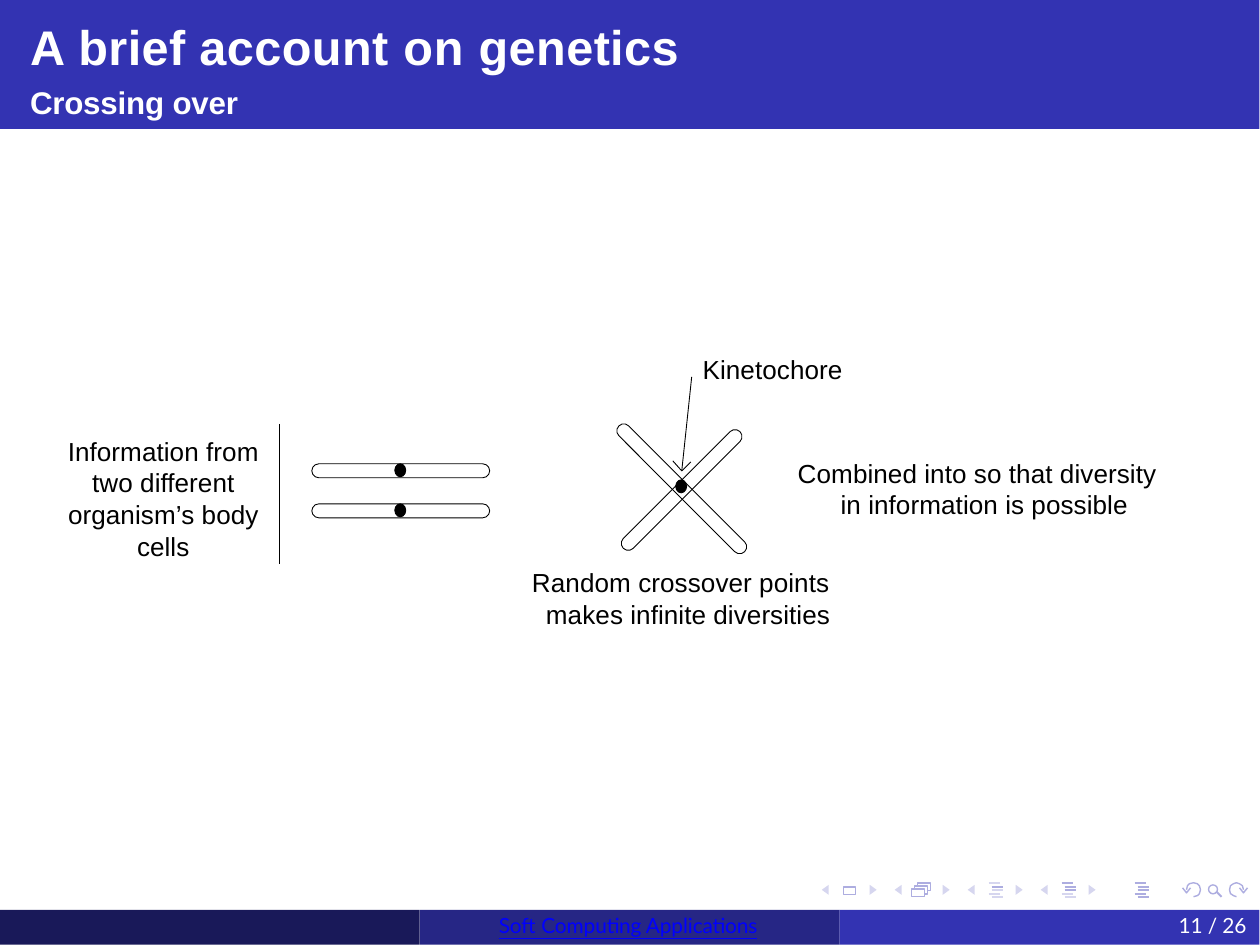
from math import cos, radians, sin

from lxml.etree import SubElement
from pptx import Presentation
from pptx.dml.color import RGBColor
from pptx.enum.shapes import MSO_CONNECTOR as CONN, MSO_SHAPE as SHAPE
from pptx.enum.text import MSO_ANCHOR as ANCHOR, MSO_AUTO_SIZE as AUTO, PP_ALIGN as ALIGN
from pptx.oxml.ns import qn
from pptx.util import Pt

PX = 914400 / 250
COLORS = {
    "bar": "3333B2", "middle": "262685", "dark": "191959",
    "icon": "ADADE0", "pale": "D6D6EF",
    "ink": "000000", "white": "FFFFFF", "link": "0000FF",
}
HAIR = 0.25


def px(*values):
    return [round(v * PX) for v in values]


def rgb(name):
    return RGBColor.from_string(COLORS[name])


def paint(sp, fill=None, line=None, width=HAIR):
    sp.shadow.inherit = False
    if fill:
        sp.fill.solid()
        sp.fill.fore_color.rgb = rgb(fill)
    else:
        sp.fill.background()
    if line:
        sp.line.color.rgb = rgb(line)
        sp.line.width = Pt(width)
    else:
        sp.line.fill.background()
    return sp


def add_preset(s, kind, box, fill=None, line=None, width=HAIR):
    return paint(s.shapes.add_shape(kind, *px(*box)), fill, line, width)


def add_path(s, points, close=False, fill=None, line=None, width=HAIR):
    builder = s.shapes.build_freeform(*points[0], scale=PX)
    builder.add_line_segments(points[1:], close=close)
    return paint(builder.convert_to_shape(), fill, line, width)


def add_line(s, ends, color, width=HAIR):
    cxn = s.shapes.add_connector(CONN.STRAIGHT, *px(*ends))
    cxn.line.color.rgb = rgb(color)
    cxn.line.width = Pt(width)
    SubElement(cxn.element.spPr, qn("a:effectLst"))


def setup_frame(tf, top):
    tf.word_wrap = True
    tf.auto_size = AUTO.NONE
    tf.vertical_anchor = ANCHOR.TOP
    tf.margin_left = tf.margin_right = tf.margin_bottom = 0
    tf.margin_top = px(top)[0]


def set_indent(p, left, first=0):
    pPr = p._p.get_or_add_pPr()
    pPr.set("marL", str(px(left)[0]))
    pPr.set("indent", str(px(first)[0]))


def add_run(p, text, size, font="Arial", color="ink", spc=0, bold=False, underline=False):
    r = p.add_run()
    r.text = text
    r.font.size, r.font.name = Pt(size), font
    r.font.bold, r.font.underline = bold, underline
    r.font.color.rgb = rgb(color)
    r._r.get_or_add_rPr().set("spc", str(spc))


def add_text(s, box, lines, top, indent=(2, 0), align=ALIGN.LEFT, spacing=None, size=7.5, **style):
    """Each line is a list of (text, letter spacing) runs."""
    tf = s.shapes.add_textbox(*px(*box)).text_frame
    setup_frame(tf, top)
    p = tf.paragraphs[0]
    p.alignment = align
    set_indent(p, *indent)
    if spacing:
        p.line_spacing = spacing
    for i, line in enumerate(lines):
        if i:
            p.add_line_break()
        for text, spc in line:
            add_run(p, text, size, spc=spc, **style)


def add_header(s):
    bar = add_preset(s, SHAPE.RECTANGLE, (0, 0, 1260, 129), "bar")
    title = s.shapes.title
    title.element.addprevious(bar.element)
    title.left, title.top, title.width, title.height = px(26, 0, 660, 125)
    tf = title.text_frame
    setup_frame(tf, 17)
    heading, subheading = tf.paragraphs[0], tf.add_paragraph()
    for p in (heading, subheading):
        p.alignment = ALIGN.LEFT
        set_indent(p, 4)
    for text, spc in (("A ", 20), ("brief account ", 10), ("on ", 20), ("genetics", 10)):
        add_run(heading, text, 14, color="white", spc=spc, bold=True)
    subheading.space_before = Pt(2.2)
    add_run(subheading, "Crossing over", 9, color="white", spc=-5, bold=True)


def add_navigation(s):
    # Previous and next arrows
    for i in range(4):
        x = 822 + 73 * i
        for base, tip in ((x + 7, x), (x + 48, x + 55)):
            add_path(s, [(base, 885), (tip, 890), (base, 895)], True, "pale")
    # Slide, frames
    add_preset(s, SHAPE.RECTANGLE, (844, 887, 12, 8), None, "icon", 0.4)
    add_preset(s, SHAPE.RECTANGLE, (912, 889, 13, 8), None, "icon", 0.4)
    for x, y in ((915, 889), (918, 886)):
        corners = [(x, y), (x, y - 3), (x + 13, y - 3), (x + 13, y + 5), (x + 10, y + 5)]
        add_path(s, corners, line="icon", width=0.4)
    # Subsection, section, document
    for x, strong in ((989, {1}), (1062, {0, 1, 2}), (1135, {0, 1, 2, 3, 4})):
        for row, y in enumerate((883, 887, 890, 894, 897)):
            left = x if row in (0, 3) else x + 3
            add_line(s, (left, y, left + 11, y), "icon" if row in strong else "pale", 0.6)
    # Back, search, forward
    add_preset(s, SHAPE.OVAL, (1209, 885, 9, 9), None, "icon", 0.4)
    add_line(s, (1217, 892, 1222, 897), "icon", 0.6)
    for cx, side in ((1194, 1), (1237, -1)):
        arc = [(cx + side * 7 * sin(radians(a)), 890 + 7 * cos(radians(a)))
               for a in range(0, 271, 30)]
        tip = cx - side * 7
        add_path(s, arc, line="icon", width=0.4)
        add_path(s, [(tip - 4, 888), (tip, 893), (tip + 4, 888)], line="icon", width=0.4)


def add_chromatid(s, cx, cy, length, angle=0):
    sp = add_preset(s, SHAPE.ROUNDED_RECTANGLE, (cx - length / 2, cy - 7, length, 14), None, "ink")
    sp.adjustments[0] = 0.5
    sp.rotation = angle


def add_kinetochore(s, cx, cy):
    add_preset(s, SHAPE.OVAL, (cx - 6, cy - 7, 11, 13), "ink", "ink")


def add_diagram(s):
    # Separate chromosomes
    add_text(s, (62, 433, 201, 133),
             [[("Information from", 0)], [("two different", 0)],
              [("organism’s body", 0)], [("cells", 0)]],
             2, align=ALIGN.CENTER, spacing=1.01)
    add_line(s, (280, 424, 280, 564), "ink")
    for cy in (471, 511):
        add_chromatid(s, 401, cy, 178)
        add_kinetochore(s, 401, cy)
    # Crossed chromosomes
    add_chromatid(s, 682, 489, 178, 45)
    add_chromatid(s, 682, 490, 165, -45)
    add_kinetochore(s, 682, 487)
    add_text(s, (530, 565, 308, 70),
             [[("Random crossover points", 0)], [("makes infinite diversities", 0)]],
             2, indent=(16, -14))
    # Pointer and outcome
    add_text(s, (701, 350, 148, 38), [[("Kinetochore", 0)]], 4)
    add_line(s, (692, 377, 682, 471), "ink")
    add_path(s, [(673, 461), (682, 471), (691, 462)], line="ink")
    add_text(s, (795, 455, 368, 70),
             [[("Combined into so that diversity", 0)], [("in information is possible", 0)]],
             2, indent=(46, -43), spacing=1.01)


def add_footer(s):
    for i, color in enumerate(("dark", "middle", "bar")):
        add_preset(s, SHAPE.RECTANGLE, (420 * i, 910, 420, 35), color)
    add_text(s, (497, 910, 268, 33), [[("Soft Computing Applications", -4)]],
             3, size=6, font="Lato", color="link", underline=True)
    add_text(s, (1169, 910, 83, 33), [[("11 / 26", -3)]],
             3, indent=(10, 0), size=6, font="Lato", color="white")


def main():
    prs = Presentation()
    prs.slide_width, prs.slide_height = Pt(363), Pt(272.5)
    prs.element.find(qn("p:sldSz")).attrib.pop("type", None)
    s = prs.slides.add_slide(prs.slide_layouts[5])
    add_navigation(s)
    add_header(s)
    add_diagram(s)
    add_footer(s)
    prs.save("out.pptx")


if __name__ == "__main__":
    main()
